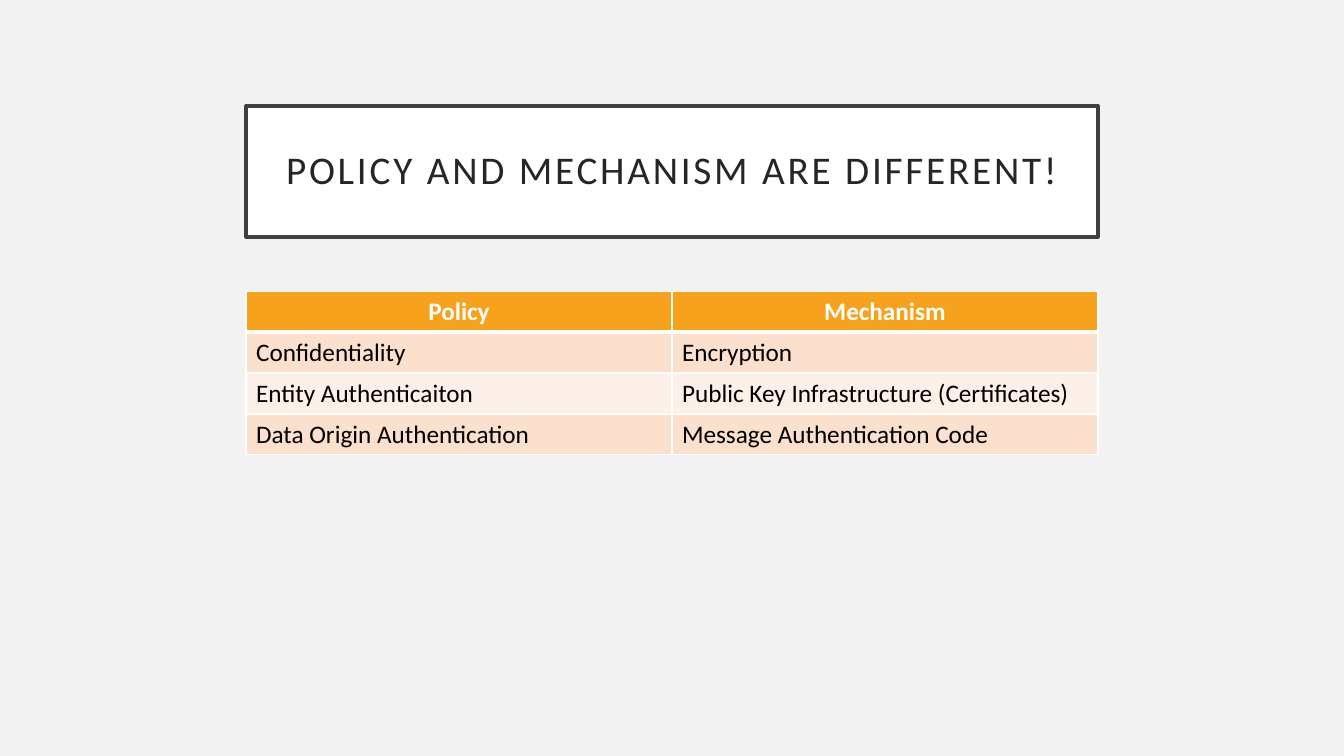
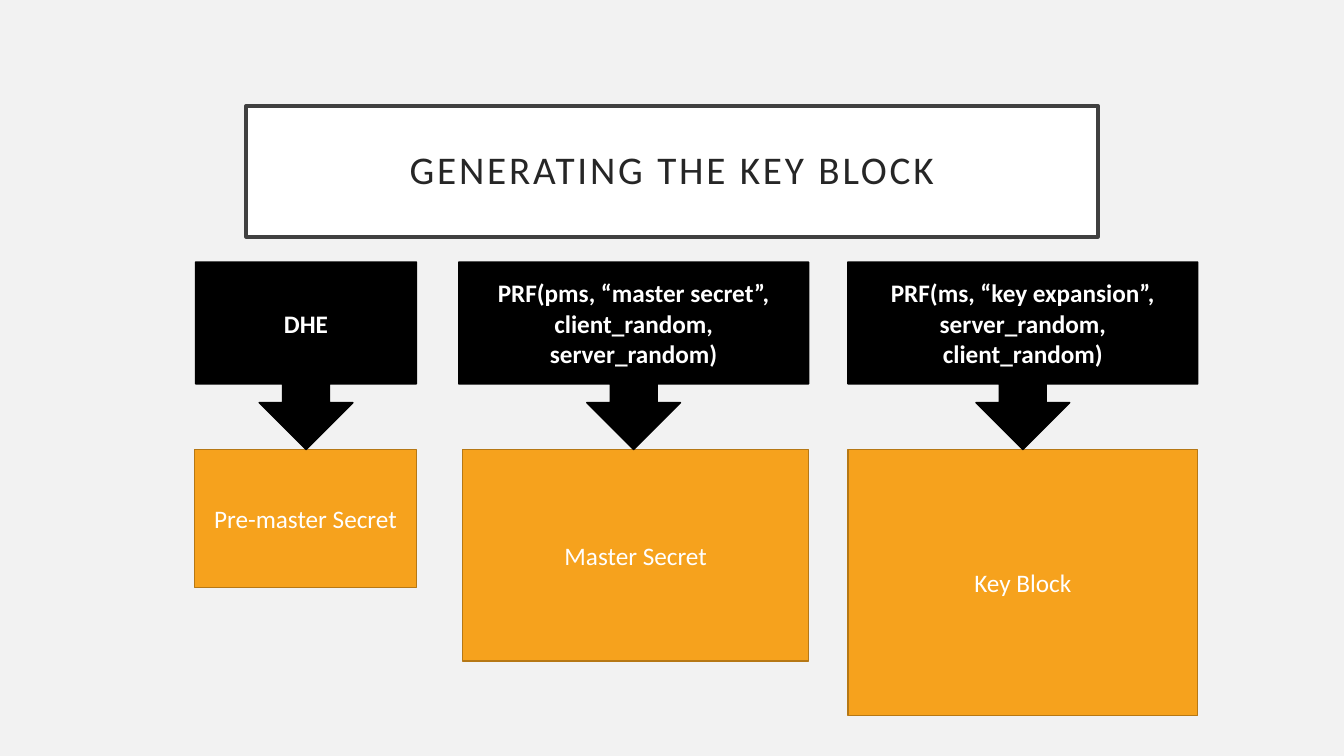
"""Build two slides on security policy and key block generation."""
from lxml import etree
from pptx import Presentation
from pptx.dml.color import RGBColor
from pptx.enum import shapes, text
from pptx.oxml import ns
from pptx.util import Inches, Pt

FONT = "Calibri"
PAPER = RGBColor(0xF2, 0xF2, 0xF2)
WHITE = RGBColor(0xFF, 0xFF, 0xFF)
BLACK = RGBColor(0, 0, 0)
FRAME = RGBColor(0x40, 0x40, 0x40)
INK = RGBColor(0x26, 0x26, 0x26)
GOLD = RGBColor(0xF6, 0xA2, 0x1D)
BROWN = RGBColor(0xB6, 0x78, 0x15)
PEACH = RGBColor(0xFB, 0xE0, 0xCD)
CREAM = RGBColor(0xFD, 0xF0, 0xE8)
LEFT, WIDTH = 2.44, 8.45


def style(frame, size, color, bold=False, align=text.PP_ALIGN.CENTER):
    frame.word_wrap = True
    frame.vertical_anchor = text.MSO_ANCHOR.MIDDLE
    for para in frame.paragraphs:
        para.alignment = align
        for run in para.runs:
            run.font.name = FONT
            run.font.size = Pt(size)
            run.font.bold = bold
            run.font.color.rgb = color


def paint(shape, box, fill, line, weight, inset):
    shape.left, shape.top, shape.width, shape.height = map(Inches, box)
    shape.fill.solid()
    shape.fill.fore_color.rgb = fill
    shape.line.color.rgb = line
    shape.line.width = Pt(weight)
    frame = shape.text_frame
    frame.margin_left = frame.margin_right = Inches(inset)


prs = Presentation()
prs.slide_width, prs.slide_height = Inches(13.33), Inches(7.5)
back = prs.slide_master.background.fill
back.solid()
back.fore_color.rgb = PAPER

slides = []
for name in ("POLICY AND MECHANISM ARE DIFFERENT!", "GENERATING THE KEY BLOCK"):
    slide = prs.slides.add_slide(prs.slide_layouts[5])
    title = slide.shapes.title
    paint(title, (LEFT, 1.05, WIDTH, 1.3), WHITE, FRAME, 2.5, 0.2)
    frame = title.text_frame
    frame.text = name
    frame.auto_size = text.MSO_AUTO_SIZE.NONE
    frame.margin_top = frame.margin_bottom = Inches(0.2)
    style(frame, 28, INK)
    para = frame.paragraphs[0]
    para.line_spacing = 0.9
    para.runs[0].font._element.set("spc", "200")
    slides.append(slide)

first, second = slides

rows = (
    ("Policy", "Mechanism"),
    ("Confidentiality", "Encryption"),
    ("Entity Authenticaiton", "Public Key Infrastructure (Certificates)"),
    ("Data Origin Authentication", "Message Authentication Code"),
)
table = first.shapes.add_table(
    len(rows), 2, Inches(LEFT), Inches(2.89), Inches(WIDTH), Inches(1.62)
).table
for r, row in enumerate(rows):
    head = r == 0
    for c, label in enumerate(row):
        cell = table.cell(r, c)
        cell.text = label
        cell.fill.solid()
        cell.fill.fore_color.rgb = GOLD if head else PEACH if r % 2 else CREAM
        align = text.PP_ALIGN.CENTER if head else text.PP_ALIGN.LEFT
        style(cell.text_frame, 18, WHITE if head else BLACK, head, align)
        cell.vertical_anchor = text.MSO_ANCHOR.TOP
        props = cell._tc.get_or_add_tcPr()
        for i, side in enumerate("LRTB"):
            thick = (r, side) in ((0, "B"), (1, "T"))
            edge = etree.Element(ns.qn("a:ln" + side), w=str(Pt(3 if thick else 1)))
            fill = etree.SubElement(edge, ns.qn("a:solidFill"))
            etree.SubElement(fill, ns.qn("a:srgbClr"), val=str(WHITE))
            props.insert(i, edge)

TOP, MID = 2.6, 4.46
RECT = shapes.MSO_SHAPE.RECTANGLE
CALL = shapes.MSO_SHAPE.DOWN_ARROW_CALLOUT
steps = (
    ("DHE", 1.94, 2.19, "Pre-master Secret", 1.93, 2.2, 1.37),
    ("PRF(pms, “master secret”,\nclient_random, server_random)", 4.55, 3.47,
     "Master Secret", 4.59, 3.43, 2.1),
    ("PRF(ms, “key expansion”,\nserver_random, client_random)", 8.41, 3.47,
     "Key Block", 8.41, 3.47, 2.64),
)
for call, x, w, secret, left, wide, high in steps:
    for kind, label, box, fill, line in (
        (RECT, secret, (left, MID, wide, high), GOLD, BROWN),
        (CALL, call, (x, TOP, w, MID - TOP), BLACK, BLACK),
    ):
        shape = second.shapes.add_shape(kind, *map(Inches, box))
        shape.shadow.inherit = False
        paint(shape, box, fill, line, 1, 0.15)
        shape.text_frame.text = label
        style(shape.text_frame, 18, WHITE, kind == CALL)

prs.save("out.pptx")
